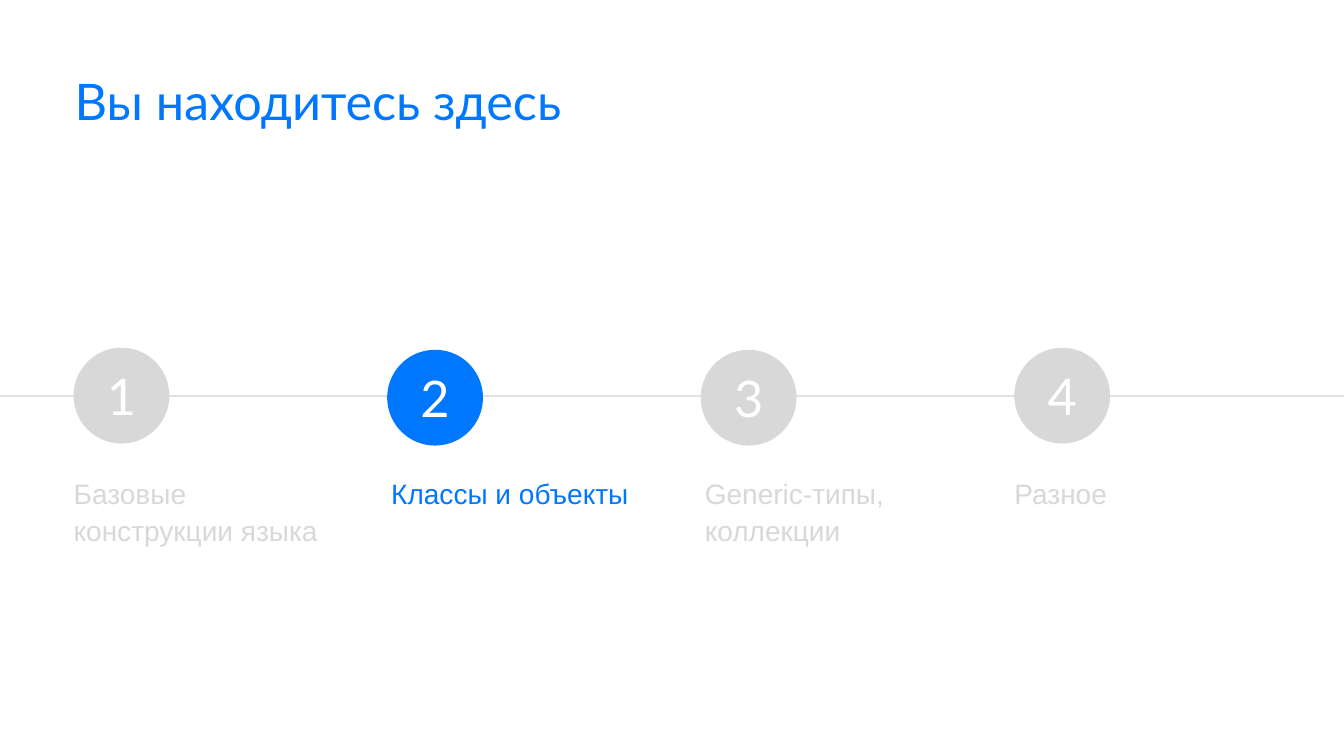
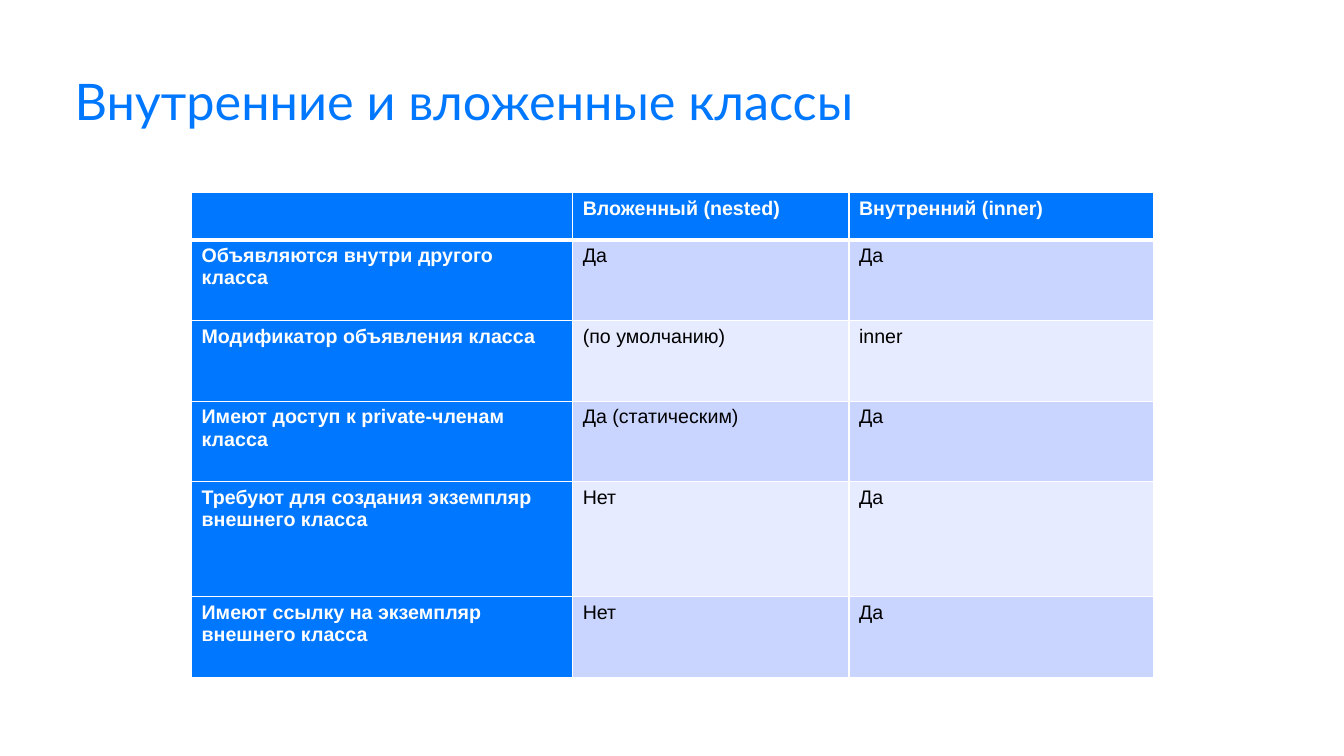
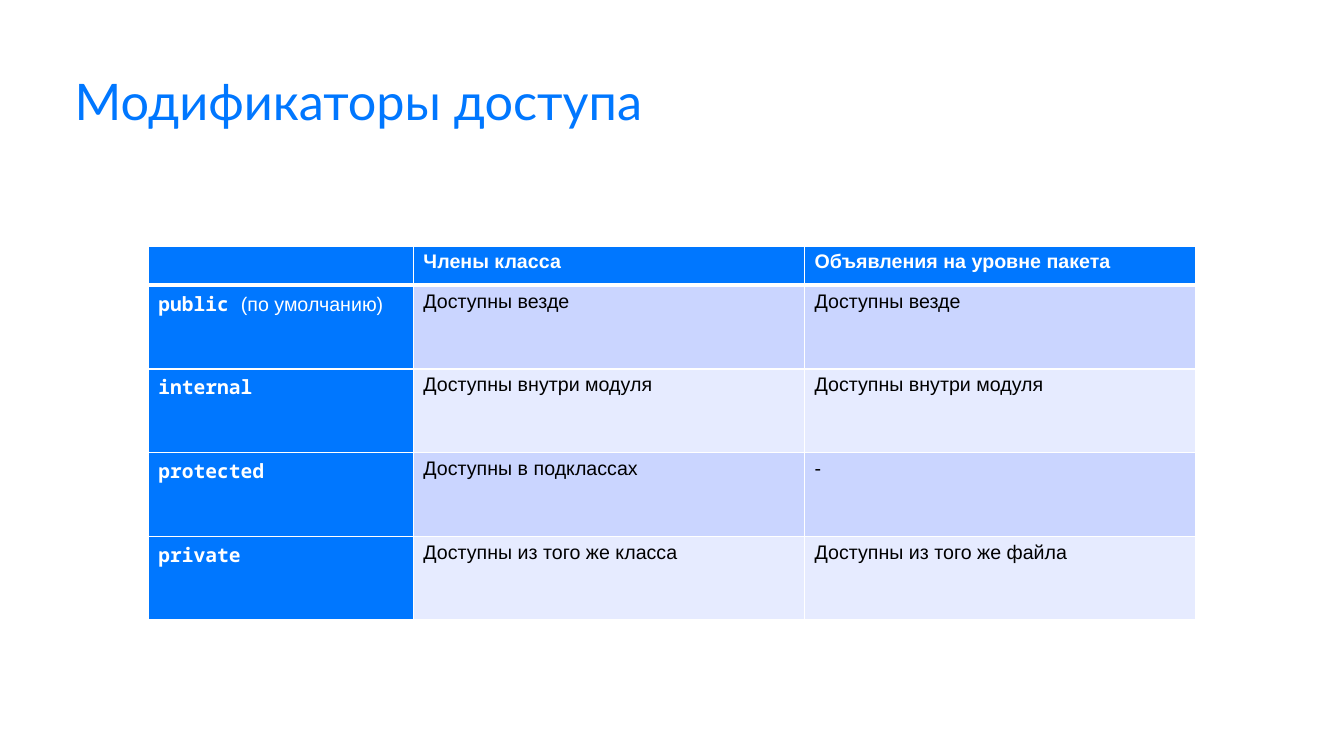
from dataclasses import dataclass

import pptx
import pptx.dml.color
import pptx.enum.shapes
import pptx.enum.text
import pptx.oxml
import pptx.oxml.ns
import pptx.slide
import pptx.table
import pptx.text.text
import pptx.util

Inches = pptx.util.Inches
Pt = pptx.util.Pt

BLUE = "0077FF"
GREY = "D8D8D8"
RULE = "E1E1E2"
WHITE = "FFFFFF"
BLACK = "000000"
BANDS = ("CAD5FF", "E6EBFF")
HEAD = "Lato"
BODY = "Arial"
MONO = "Noto Sans Mono"


@dataclass
class Step:
    label: str
    tint: str
    drop: float
    shift: float


@dataclass
class Row:
    lead: str
    cells: tuple[str, ...]
    note: str = ""


@dataclass
class Grid:
    title: str
    left: float
    top: float
    widths: tuple[float, ...]
    heights: tuple[float, ...]
    face: str
    rows: tuple[Row, ...]


STEPS = (
    Step("Базовые конструкции языка", GREY, 0, -0.04),
    Step("Классы и объекты", BLUE, 0.02, 0),
    Step("Generic-типы,\nколлекции", GREY, 0.02, 0),
    Step("Разное", GREY, 0, -0.04),
)

GRIDS = (
    Grid(
        "Внутренние и вложенные классы", 1.9, 1.91,
        (3.78, 2.74, 3.02), (0.47, 0.8, 0.8, 0.8, 1.14, 0.8), BODY,
        (
            Row("", ("Вложенный (nested)", "Внутренний (inner)")),
            Row("Объявляются внутри другого класса", ("Да", "Да")),
            Row("Модификатор объявления класса", ("(по умолчанию)", "inner")),
            Row("Имеют доступ к private-членам класса", ("Да (статическим)", "Да")),
            Row("Требуют для создания экземпляр внешнего класса", ("Нет", "Да")),
            Row("Имеют ссылку на экземпляр внешнего класса", ("Нет", "Да")),
        ),
    ),
    Grid(
        "Модификаторы доступа", 1.47, 2.44,
        (2.63, 3.88, 3.88), (0.39, 0.83, 0.83, 0.83, 0.83), MONO,
        (
            Row("", ("Члены класса", "Объявления на уровне пакета")),
            Row("public ", ("Доступны везде", "Доступны везде"), "(по умолчанию)"),
            Row("internal", ("Доступны внутри модуля", "Доступны внутри модуля")),
            Row("protected", ("Доступны в подклассах", "-")),
            Row("private", ("Доступны из того же класса", "Доступны из того же файла")),
        ),
    ),
)


def shade(code: str) -> pptx.dml.color.RGBColor:
    return pptx.dml.color.RGBColor.from_string(code)


def style(font: pptx.text.text.Font, face: str, size: float, tint: str, bold: bool = False) -> None:
    font.name = face
    font.size = Pt(size)
    font.bold = bold
    font.color.rgb = shade(tint)


def inset(frame: pptx.text.text.TextFrame, side: float, end: float) -> None:
    frame.word_wrap = True
    frame.margin_left = frame.margin_right = Inches(side)
    frame.margin_top = frame.margin_bottom = Inches(end)


def add_page(deck: pptx.presentation.Presentation, title: str) -> pptx.slide.Slide:
    page = deck.slides.add_slide(deck.slide_layouts[6])
    page.background.fill.solid()
    page.background.fill.fore_color.rgb = shade(WHITE)
    frame = page.shapes.add_textbox(Inches(0.74), Inches(0.76), Inches(11.87), Inches(0.7)).text_frame
    inset(frame, 0, 0)
    line = frame.paragraphs[0]
    line.text = title
    line.line_spacing = 0.9
    style(line.font, HEAD, 36, BLUE)
    return page


def add_track(page: pptx.slide.Slide) -> None:
    track = page.shapes.add_connector(
        pptx.enum.shapes.MSO_CONNECTOR.STRAIGHT,
        Inches(13.33), Inches(3.93), Inches(-0.05), Inches(3.93),
    )
    track.line.color.rgb = shade(RULE)
    track.line.width = Pt(1)
    props = track._element.spPr
    props.append(props.makeelement(pptx.oxml.ns.qn("a:effectLst"), {}))


def add_step(page: pptx.slide.Slide, rank: int, step: Step) -> None:
    left = 0.73 + 3.11 * rank
    disc = page.shapes.add_shape(
        pptx.enum.shapes.MSO_SHAPE.OVAL,
        Inches(left), Inches(3.45 + step.drop), Inches(0.95), Inches(0.95),
    )
    disc.shadow.inherit = False
    disc.fill.solid()
    disc.fill.fore_color.rgb = shade(step.tint)
    disc.line.fill.background()
    inset(disc.text_frame, 0, 0.05)
    disc.text_frame.vertical_anchor = pptx.enum.text.MSO_ANCHOR.MIDDLE
    mark = disc.text_frame.paragraphs[0]
    mark.text = str(rank + 1)
    mark.alignment = pptx.enum.text.PP_ALIGN.CENTER
    style(mark.font, HEAD, 36, WHITE)

    frame = page.shapes.add_textbox(
        Inches(left + step.shift), Inches(4.65), Inches(2.79), Inches(0.82)
    ).text_frame
    inset(frame, 0.04, 0.04)
    label = frame.paragraphs[0]
    label.text = step.label
    label.line_spacing = 1.1
    style(label.font, BODY, 20, step.tint)


def add_edge(cell: pptx.table._Cell, side: str, width: float) -> None:
    space = pptx.oxml.ns.nsdecls("a")
    cell._tc.get_or_add_tcPr().append(pptx.oxml.parse_xml(
        f'<a:{side} {space} w="{Pt(width)}"><a:solidFill>'
        f'<a:srgbClr val="{WHITE}"/></a:solidFill></a:{side}>'
    ))


def fill_cell(cell: pptx.table._Cell, text: str, face: str, row: int, lead: bool) -> None:
    strong = lead or row == 0
    for side in ("lnL", "lnR", "lnT", "lnB"):
        thick = (row, side) in ((0, "lnB"), (1, "lnT"))
        add_edge(cell, side, 3 if thick else 1)
    cell.fill.solid()
    cell.fill.fore_color.rgb = shade(BLUE if strong else BANDS[(row - 1) % 2])
    line = cell.text_frame.paragraphs[0]
    if text:
        line.text = text
    style(line.font, face, 14, WHITE if strong else BLACK, strong)


def add_grid(page: pptx.slide.Slide, grid: Grid) -> None:
    table = page.shapes.add_table(
        len(grid.heights), len(grid.widths), Inches(grid.left), Inches(grid.top),
        Inches(sum(grid.widths)), Inches(sum(grid.heights)),
    ).table
    table.first_row = table.horz_banding = False
    for col, width in zip(table.columns, grid.widths):
        col.width = Inches(width)
    for rank, (row, height) in enumerate(zip(grid.rows, grid.heights)):
        table.rows[rank].height = Inches(height)
        first = table.cell(rank, 0)
        fill_cell(first, row.lead, grid.face, rank, True)
        if row.note:
            note = first.text_frame.paragraphs[0].add_run()
            note.text = row.note
            style(note.font, BODY, 14, WHITE)
        for place, text in enumerate(row.cells, 1):
            fill_cell(table.cell(rank, place), text, BODY, rank, False)


def main() -> None:
    deck = pptx.Presentation()
    deck.slide_width = Inches(13.33)
    deck.slide_height = Inches(7.5)
    page = add_page(deck, "Вы находитесь здесь")
    add_track(page)
    for rank, step in enumerate(STEPS):
        add_step(page, rank, step)
    for grid in GRIDS:
        add_grid(add_page(deck, grid.title), grid)
    deck.save("out.pptx")


if __name__ == "__main__":
    main()
